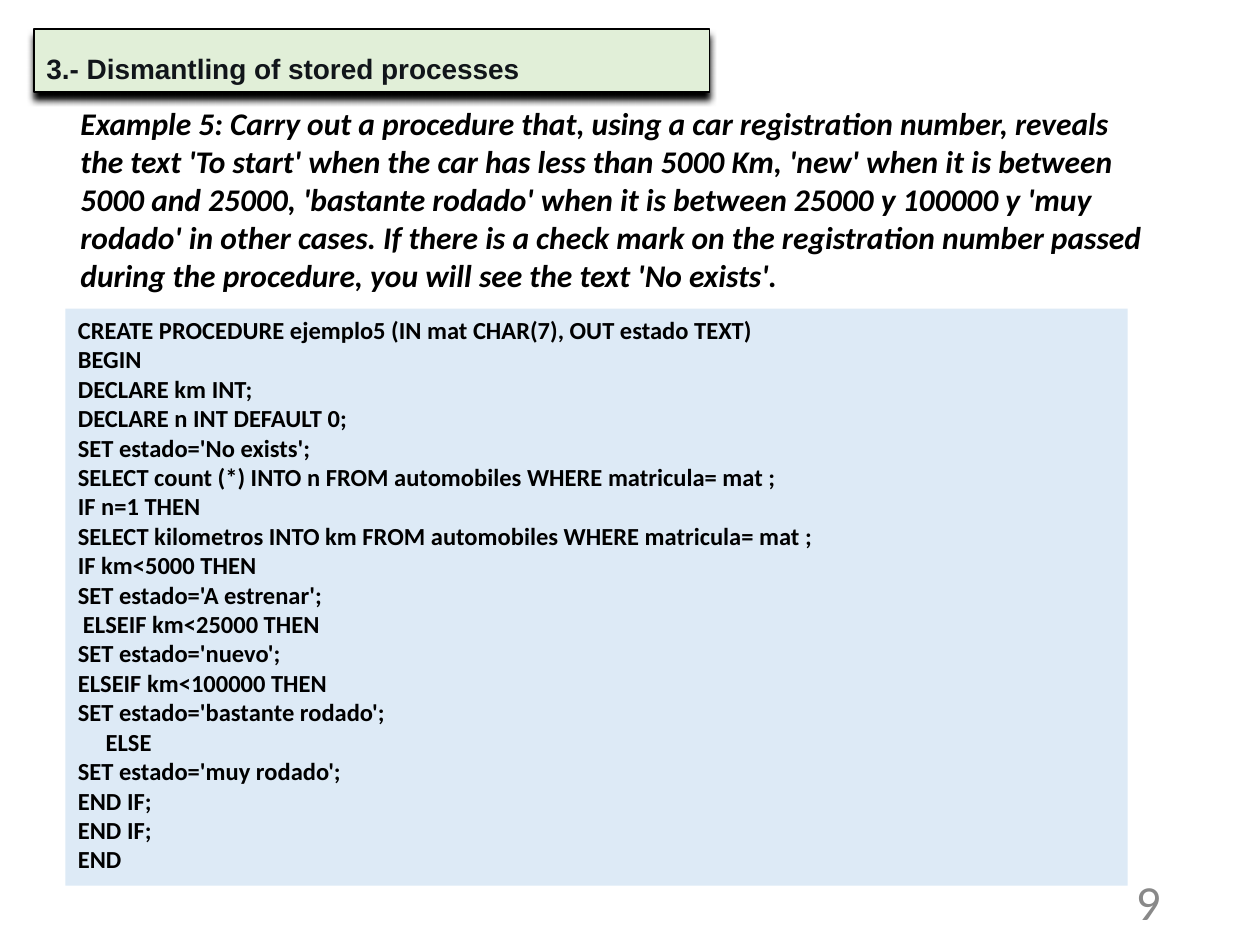
from lxml import etree
from pptx import Presentation
from pptx import util as u
from pptx.dml.color import RGBColor
from pptx.enum import shapes, text
from pptx.oxml import ns

GREEN = RGBColor(0xE1, 0xEF, 0xD8)
BLUE = RGBColor(0xDD, 0xEA, 0xF6)
INK = RGBColor(0x11, 0x15, 0x1A)
BLACK = RGBColor(0, 0, 0)
GRAY = RGBColor(0x89, 0x89, 0x89)

STATEMENT = (
    "Example 5: Carry out a procedure that, using a car registration number, "
    "reveals the text 'To start' when the car has less than 5000 Km, 'new' when "
    "it is between 5000 and 25000, 'bastante rodado' when it is between 25000 y "
    "100000 y 'muy rodado' in other cases. If there is a check mark on the "
    "registration number passed during the procedure, you will see the text "
    "'No exists'."
)

CODE = """CREATE PROCEDURE ejemplo5 (IN mat CHAR(7), OUT estado TEXT)
BEGIN
DECLARE km INT;
DECLARE n INT DEFAULT 0;
SET estado='No exists';
SELECT count (*) INTO n FROM automobiles WHERE matricula= mat ;
IF n=1 THEN
SELECT kilometros INTO km FROM automobiles WHERE matricula= mat ;
IF km<5000 THEN
SET estado='A estrenar';
ELSEIF km<25000 THEN
SET estado='nuevo';
ELSEIF km<100000 THEN
SET estado='bastante rodado';
ELSE
SET estado='muy rodado';
END IF;
END IF;
END""".splitlines()
CODE_INDENTS = {"ELSEIF km<25000 THEN": 0.04, "ELSE": 0.22}


def add_panel(slide, box, fill):
    panel = slide.shapes.add_shape(
        shapes.MSO_SHAPE.RECTANGLE, *map(u.Inches, box))
    panel.shadow.inherit = False
    panel.fill.solid()
    panel.fill.fore_color.rgb = fill
    panel.line.fill.background()
    panel.text_frame.vertical_anchor = text.MSO_ANCHOR.TOP
    return panel


def add_text_box(slide, box):
    shape = slide.shapes.add_textbox(*map(u.Inches, box))
    shape.text_frame.word_wrap = True
    return shape


def add_hard_shadow(shape):
    effects = shape._element.spPr.find(ns.qn("a:effectLst"))
    distance = str(u.Pt(4))
    shadow = etree.SubElement(
        effects, ns.qn("a:outerShdw"), blurRad=distance, dist=distance,
        dir="5400000", algn="ctr", rotWithShape="0")
    etree.SubElement(shadow, ns.qn("a:srgbClr"), val=str(BLACK))


def indent(paragraph, left, first=0):
    properties = paragraph._p.get_or_add_pPr()
    properties.set("marL", str(u.Inches(left)))
    properties.set("indent", str(u.Inches(first)))


def write(shape, lines, size, color, font="Calibri", bold=True, italic=False,
          align=text.PP_ALIGN.LEFT):
    frame = shape.text_frame
    for index, line in enumerate(lines):
        paragraph = frame.add_paragraph() if index else frame.paragraphs[0]
        paragraph.alignment = align
        run = paragraph.add_run()
        run.text = line
        run.font.name = font
        run.font.size = u.Pt(size)
        run.font.bold = bold
        run.font.italic = italic
        run.font.color.rgb = color
    return frame.paragraphs


def add_heading(slide):
    heading = add_panel(slide, (0.27, 0.23, 5.36, 0.5), GREEN)
    heading.line.color.rgb = BLACK
    heading.line.width = u.Pt(0.75)
    add_hard_shadow(heading)
    paragraph, = write(
        heading, ["3.- Dismantling of stored processes"], 16, INK, "Arial")
    paragraph.line_spacing = 1.5
    indent(paragraph, 0.5, -0.5)


def add_page_number(slide):
    number = add_text_box(slide, (7.06, 6.95, 2.25, 0.4))
    number.text_frame.vertical_anchor = text.MSO_ANCHOR.MIDDLE
    write(number, ["9"], 28, GRAY, bold=False, align=text.PP_ALIGN.RIGHT)


def add_code(slide):
    panel = add_panel(slide, (0.52, 2.45, 8.43, 4.58), BLUE)
    for paragraph in write(panel, CODE, 14, BLACK):
        if paragraph.text in CODE_INDENTS:
            indent(paragraph, CODE_INDENTS[paragraph.text])


def main():
    presentation = Presentation()
    presentation.slide_width = u.Inches(10)
    presentation.slide_height = u.Inches(7.5)
    slide = presentation.slides.add_slide(presentation.slide_layouts[6])
    add_heading(slide)
    add_page_number(slide)
    statement = add_text_box(slide, (0.54, 0.78, 8.74, 1.62))
    write(statement, [STATEMENT], 18, BLACK, italic=True)
    add_code(slide)
    presentation.save("out.pptx")


if __name__ == "__main__":
    main()
